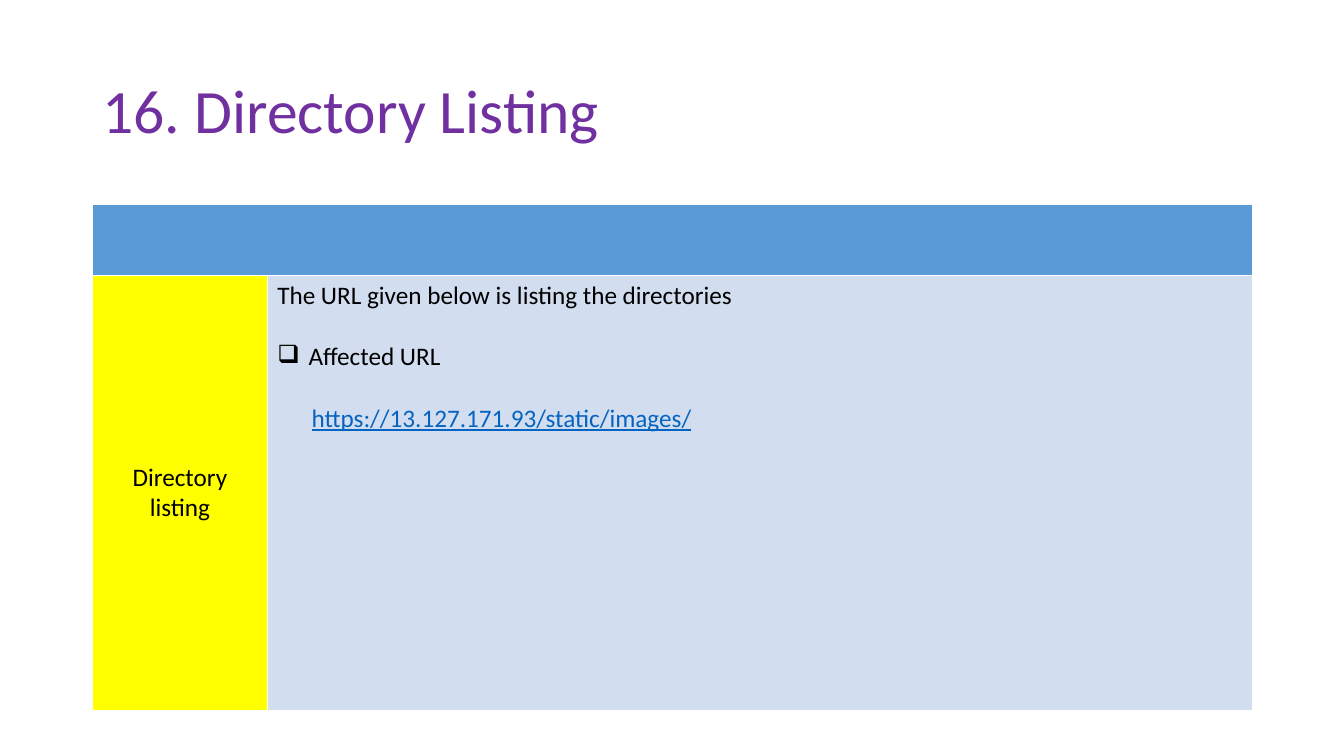
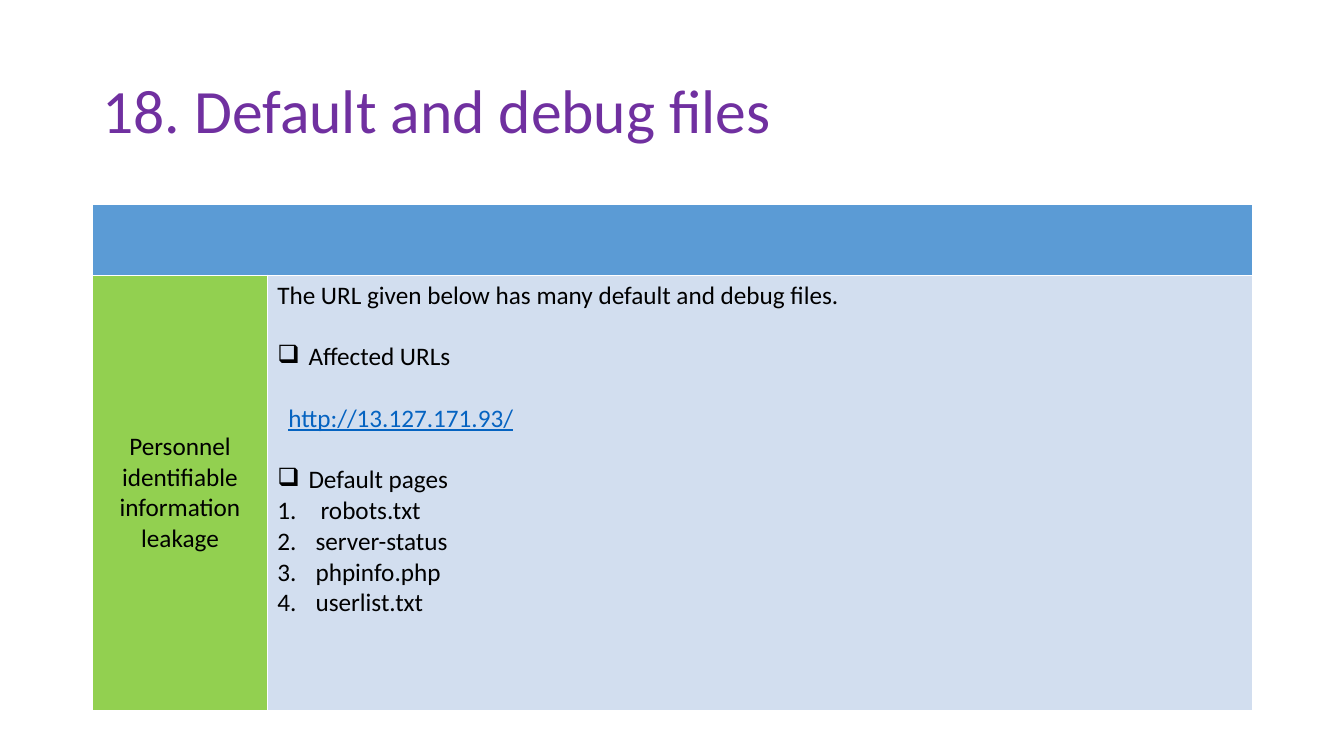
from lxml.etree import SubElement
from pptx import Presentation
from pptx.dml.color import RGBColor
from pptx.enum.text import MSO_ANCHOR as Anchor, PP_ALIGN as Align
from pptx.oxml.ns import qn
from pptx.util import Inches, Pt

FONT = "Calibri"
PURPLE = RGBColor(0x70, 0x30, 0xA0)
BLUE = RGBColor(0x5B, 0x9B, 0xD5)
PALE_BLUE = RGBColor(0xD2, 0xDE, 0xEF)
LINK_BLUE = RGBColor(0x05, 0x63, 0xC1)
YELLOW = RGBColor(0xFF, 0xFF, 0x00)
GREEN = RGBColor(0x92, 0xD0, 0x50)
BLACK = RGBColor(0, 0, 0)

LEFT, WIDTH = Inches(0.92), Inches(11.5)
COLUMN_WIDTHS = [Inches(1.73), Inches(9.77)]
ROW_HEIGHTS = [Inches(0.7), Inches(4.32)]
BLANK_LINE = Pt(22)

BULLETS = {
    "check": ("a:buChar", {"char": "❑"}),
    "number": ("a:buAutoNum", {"type": "arabicPeriod"}),
}

FINDINGS = [
    {
        "title": "16. Directory Listing",
        "label": "Directory listing",
        "color": YELLOW,
        "lines": [
            ("The URL given below is listing the directories", "plain", 0, False),
            ("Affected URL", "check", 0.31, True),
            ("https://13.127.171.93/static/images/", "link", 0.34, True),
        ],
    },
    {
        "title": "18. Default and debug files",
        "label": "Personnel identifiable information leakage",
        "color": GREEN,
        "lines": [
            ("The URL given below has many default and debug files.", "plain", 0, False),
            ("Affected URLs", "check", 0.31, True),
            ("http://13.127.171.93/", "link", 0.11, True),
            ("Default pages", "check", 0.31, True),
            ("robots.txt", "number", 0.43, False),
            ("server-status", "number", 0.38, False),
            ("phpinfo.php", "number", 0.38, False),
            ("userlist.txt", "number", 0.38, False),
        ],
    },
]


def set_text(paragraph, text, size, color, underline=False):
    run = paragraph.add_run()
    run.text = text
    formats = {"name": FONT, "size": Pt(size), "underline": underline}
    for name, value in formats.items():
        setattr(run.font, name, value)
    run.font.color.rgb = color


def set_indent(paragraph, kind, indent):
    properties = paragraph._p.get_or_add_pPr()
    properties.set("marL", str(Inches(indent)))
    if kind in BULLETS:
        properties.set("indent", str(-Inches(indent)))
        tag, attributes = BULLETS[kind]
        SubElement(properties, qn(tag), attributes)


presentation = Presentation()
presentation.slide_width = Inches(13.33)
presentation.slide_height = Inches(7.5)

for finding in FINDINGS:
    slide = presentation.slides.add_slide(presentation.slide_layouts[6])

    title_frame = slide.shapes.add_textbox(LEFT, Inches(0.4), WIDTH, Inches(1.45)).text_frame
    title_frame.word_wrap = True
    title_frame.vertical_anchor = Anchor.MIDDLE
    title_frame.paragraphs[0].line_spacing = 0.9
    set_text(title_frame.paragraphs[0], finding["title"], 44, PURPLE)

    table = slide.shapes.add_table(2, 2, LEFT, Inches(2.03), WIDTH, sum(ROW_HEIGHTS)).table
    for column, width in zip(table.columns, COLUMN_WIDTHS):
        column.width = width
    for row, height in zip(table.rows, ROW_HEIGHTS):
        row.height = height

    header, label, details = table.cell(0, 0), table.cell(1, 0), table.cell(1, 1)
    header.merge(table.cell(0, 1))
    for cell, color in ((header, BLUE), (label, finding["color"]), (details, PALE_BLUE)):
        cell.fill.solid()
        cell.fill.fore_color.rgb = color

    label.vertical_anchor = Anchor.MIDDLE
    label_paragraph = label.text_frame.paragraphs[0]
    label_paragraph.alignment = Align.CENTER
    set_text(label_paragraph, finding["label"], 18, BLACK)

    for index, (text, kind, indent, gap) in enumerate(finding["lines"]):
        frame = details.text_frame
        paragraph = frame.add_paragraph() if index else frame.paragraphs[0]
        if gap:
            paragraph.space_before = BLANK_LINE
        set_indent(paragraph, kind, indent)
        is_link = kind == "link"
        set_text(paragraph, text, 18, LINK_BLUE if is_link else BLACK, is_link)

presentation.save("out.pptx")
